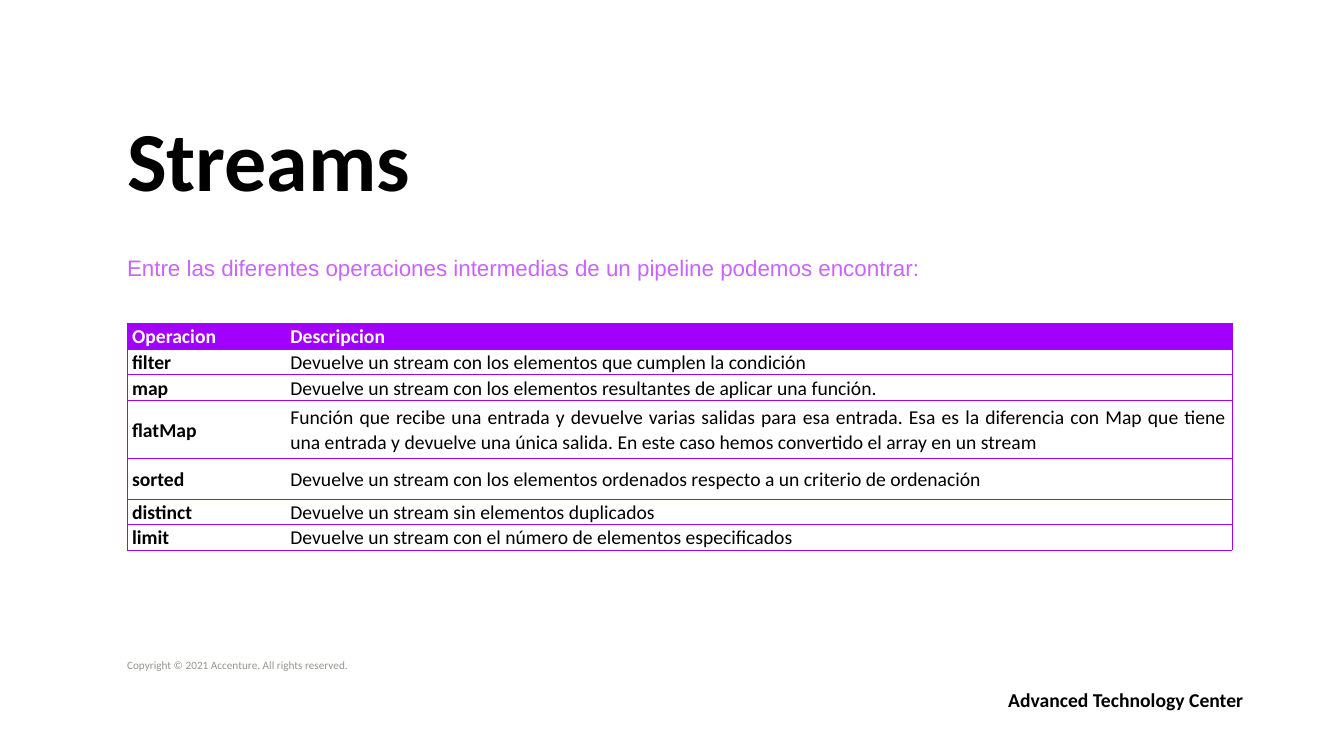
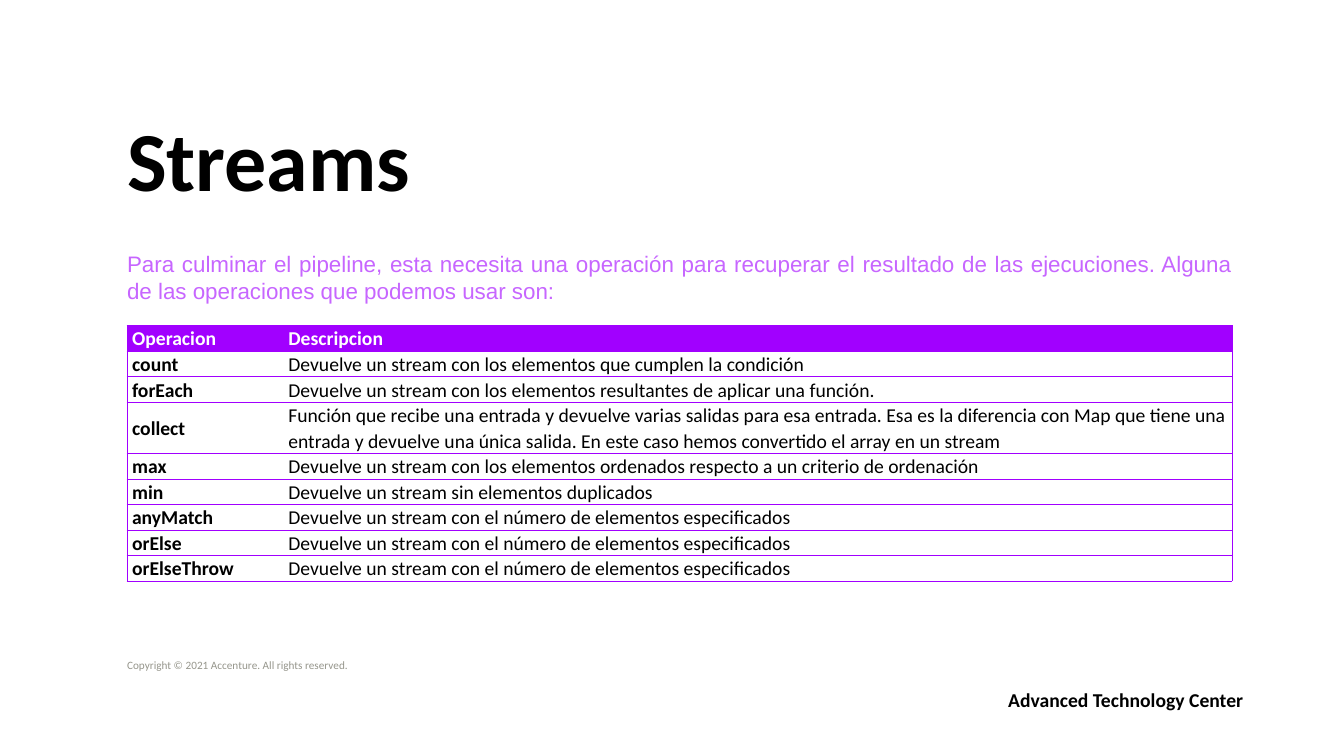
from lxml.etree import SubElement
from pptx import Presentation
from pptx.dml.color import RGBColor
from pptx.enum.text import MSO_ANCHOR, MSO_AUTO_SIZE, PP_ALIGN
from pptx.oxml.ns import qn
from pptx.util import Inches, Pt

BLACK, WHITE, GRAY = "000000", "FFFFFF", "96968C"
PURPLE, LILAC = "A100FF", "C766FF"
LEFT, CONTENT_WIDTH = 1.26, 10.96
NO_GRID_STYLE = "{2D5ABB26-0587-4C30-8999-92F81FD0307C}"

TITLE = "Streams"
COPYRIGHT = "Copyright © 2021 Accenture. All rights reserved."
CENTER_NAME = "Advanced Technology Center"
HEADER = ("Operacion", "Descripcion")

MATCHING = "Devuelve un stream con los elementos que cumplen la condición"
MAPPED = "Devuelve un stream con los elementos resultantes de aplicar una función."
FLATTENED = (
    "Función que recibe una entrada y devuelve varias salidas para esa entrada. "
    "Esa es la diferencia con Map que tiene una entrada y devuelve una única salida. "
    "En este caso hemos convertido el array en un stream"
)
ORDERED = "Devuelve un stream con los elementos ordenados respecto a un criterio de ordenación"
UNIQUE = "Devuelve un stream sin elementos duplicados"
LIMITED = "Devuelve un stream con el número de elementos especificados"

SLIDES = [
    {
        "lead": "Entre las diferentes operaciones intermedias de un pipeline podemos encontrar:",
        "lead_height": 0.45,
        "table_top": 3.21,
        "name_width": 1.57,
        "row_height": 0.2,
        "tall_rows": {"flatMap": 0.58, "sorted": 0.4},
        "operations": [
            ("filter", MATCHING),
            ("map", MAPPED),
            ("flatMap", FLATTENED),
            ("sorted", ORDERED),
            ("distinct", UNIQUE),
            ("limit", LIMITED),
        ],
    },
    {
        "lead": "Para culminar el pipeline, esta necesita una operación para recuperar el "
                "resultado de las ejecuciones. Alguna de las operaciones que podemos usar son:",
        "lead_height": 0.64,
        "table_top": 3.23,
        "name_width": 1.55,
        "row_height": 0.21,
        "tall_rows": {"collect": 0.4},
        "operations": [
            ("count", MATCHING),
            ("forEach", MAPPED),
            ("collect", FLATTENED),
            ("max", ORDERED),
            ("min", UNIQUE),
            ("anyMatch", LIMITED),
            ("orElse", LIMITED),
            ("orElseThrow", LIMITED),
        ],
    },
]


def rgb(color):
    return RGBColor.from_string(color)


def write(frame, text, size, color, bold=False, font="Calibri", align=PP_ALIGN.LEFT):
    """Fill a text frame with one formatted paragraph and return the paragraph."""
    frame.text = text
    paragraph = frame.paragraphs[0]
    paragraph.alignment = align
    paragraph.space_before = Pt(0)
    for run in paragraph.runs:
        run.font.name = font
        run.font.size = Pt(size)
        run.font.bold = bold
        run.font.color.rgb = rgb(color)
    return paragraph


def place(shape, left, top, width, height, anchor, inset=0):
    """Position a text shape; inset is its top and bottom margin."""
    shape.left, shape.top = Inches(left), Inches(top)
    shape.width, shape.height = Inches(width), Inches(height)
    frame = shape.text_frame
    frame.word_wrap = True
    frame.auto_size = MSO_AUTO_SIZE.NONE
    frame.vertical_anchor = anchor
    frame.margin_left = frame.margin_right = 0
    frame.margin_top = frame.margin_bottom = Inches(inset)
    return frame


def add_footers(slide):
    def footer(*box):
        return place(slide.shapes.add_textbox(0, 0, 0, 0), *box)

    write(footer(LEFT, 6.53, 3.39, 0.13, MSO_ANCHOR.BOTTOM), COPYRIGHT, 8, GRAY).space_after = Pt(12)
    write(footer(10, 6.82, 3.13, 0.27, MSO_ANCHOR.TOP), CENTER_NAME, 14, BLACK, bold=True)


def add_borders(cell, sides):
    """Draw thin purple lines on the given sides, named in L, R, T, B order."""
    for side in sides:
        line = SubElement(cell._tc.get_or_add_tcPr(), qn(f"a:ln{side}"), w=str(Pt(0.5)))
        fill = SubElement(line, qn("a:solidFill"))
        SubElement(fill, qn("a:srgbClr"), val=PURPLE)


def format_cell(cell, text, is_header, is_name):
    add_borders(cell, "LTB" if is_name else "RTB")
    if is_header:
        cell.fill.solid()
        cell.fill.fore_color.rgb = rgb(PURPLE)
    else:
        cell.fill.background()
    cell.margin_left = cell.margin_right = Inches(0.05)
    cell.margin_top = cell.margin_bottom = 0
    cell.vertical_anchor = MSO_ANCHOR.MIDDLE
    paragraph = write(cell.text_frame, text, 14, WHITE if is_header else BLACK,
                      bold=is_header or is_name, align=PP_ALIGN.JUSTIFY)
    paragraph.line_spacing = 1.07
    paragraph.space_after = Pt(8)


def add_operations(slide, content):
    rows = [HEADER, *content["operations"]]
    heights = [content["tall_rows"].get(name, content["row_height"]) for name, _ in rows]
    frame = slide.shapes.add_table(
        len(rows), len(HEADER), Inches(LEFT), Inches(content["table_top"]),
        Inches(CONTENT_WIDTH), Inches(sum(heights)))
    table = frame.table
    table.horz_banding = False
    table._tbl.tblPr.find(qn("a:tableStyleId")).text = NO_GRID_STYLE
    name_width = content["name_width"]
    table.columns[0].width = Inches(name_width)
    table.columns[1].width = Inches(CONTENT_WIDTH - name_width)
    for row_index, (texts, height) in enumerate(zip(rows, heights)):
        table.rows[row_index].height = Inches(height)
        for column, text in enumerate(texts):
            format_cell(table.cell(row_index, column), text, row_index == 0, column == 0)


def add_stream_slide(deck, content):
    slide = deck.slides.add_slide(deck.slide_layouts[0])
    title, lead = slide.placeholders
    title_frame = place(title, LEFT, 0.2, 8.75, 1.88, MSO_ANCHOR.BOTTOM)
    write(title_frame, TITLE, 60, BLACK, bold=True).line_spacing = 0.9
    lead_frame = place(lead, LEFT, 2.43, CONTENT_WIDTH, content["lead_height"],
                       MSO_ANCHOR.MIDDLE, inset=0.03)
    write(lead_frame, content["lead"], 16, LILAC, font="Arial", align=PP_ALIGN.JUSTIFY)
    add_operations(slide, content)
    add_footers(slide)


def main():
    deck = Presentation()
    deck.slide_width, deck.slide_height = Inches(13.33), Inches(7.5)
    for content in SLIDES:
        add_stream_slide(deck, content)
    deck.save("out.pptx")


if __name__ == "__main__":
    main()
